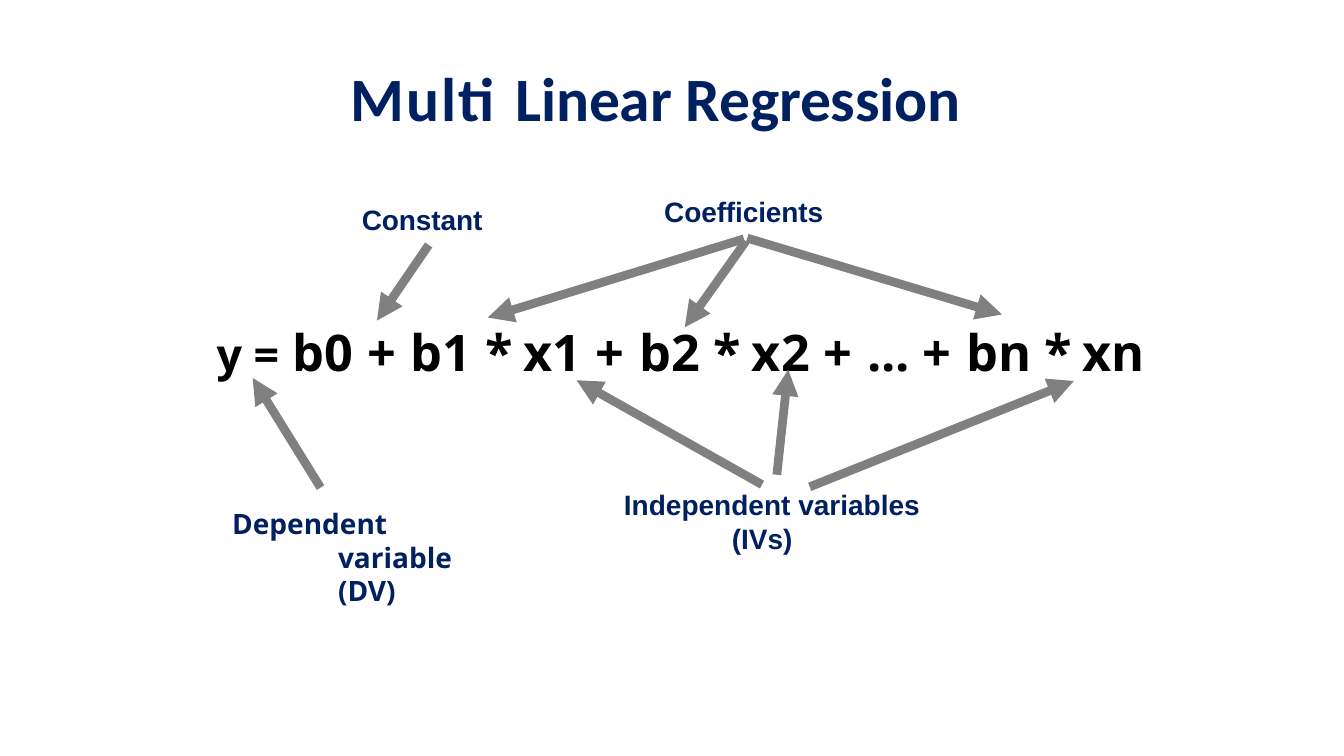
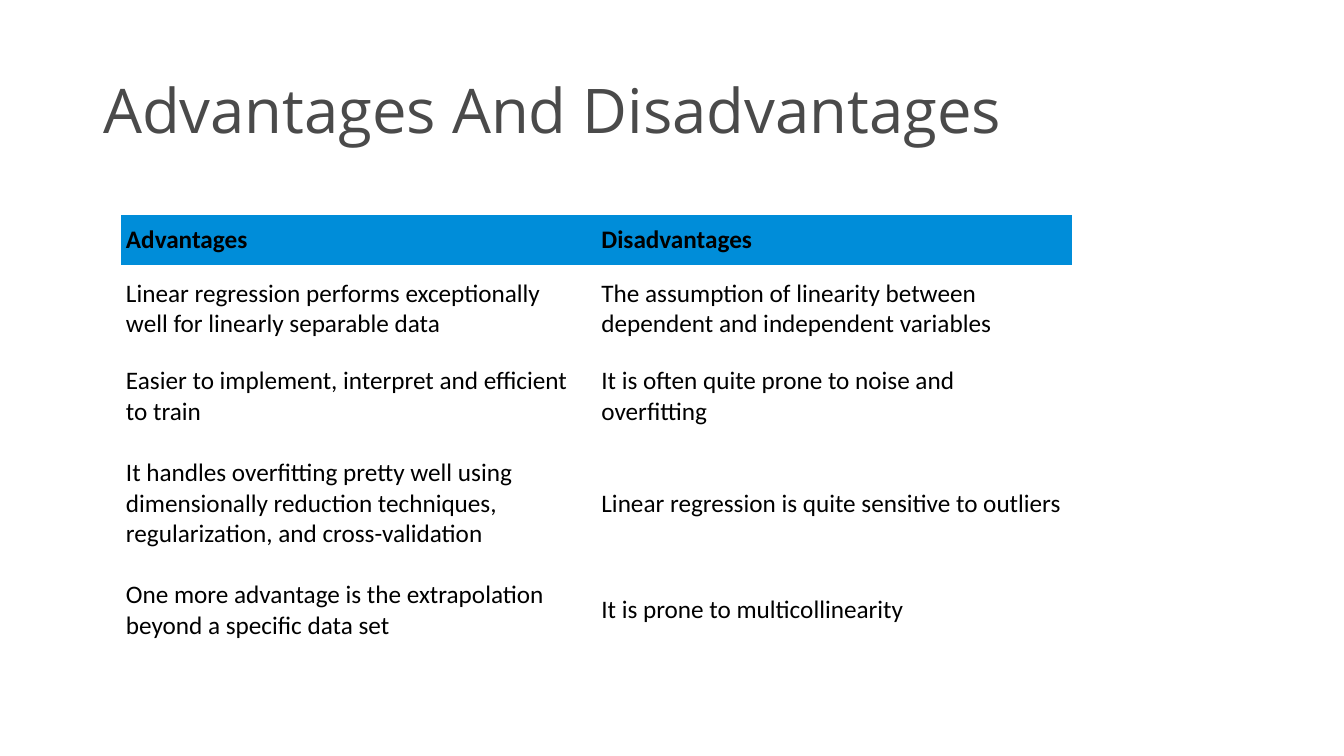
from dataclasses import dataclass

from lxml.etree import SubElement
from pptx import Presentation
from pptx.dml.color import RGBColor
from pptx.enum.shapes import MSO_CONNECTOR as CONN
from pptx.enum.text import MSO_ANCHOR as ANCHOR, PP_ALIGN as ALIGN
from pptx.oxml.ns import qn
from pptx.util import Inches, Pt


@dataclass(frozen=True)
class Theme:
    navy: str = "002060"
    gray: str = "808080"
    dark: str = "4A4A4A"
    black: str = "000000"
    blue: str = "008DD9"
    title: int = 44
    term: int = 36
    lead: int = 32
    label: int = 20
    cell: int = 18
    arrow: float = 6.25


T = Theme()
prs = Presentation()
prs.slide_width, prs.slide_height = Inches(13.33), Inches(7.5)
COL, ROW = prs.slide_width / 100, prs.slide_height / 100  # 1 % of the slide


def add_run(p, text, size, font, color, bold=False, spacing=0):
    r = p.add_run()
    r.text = text
    r.font.size, r.font.name, r.font.bold = Pt(size), font, bold
    r.font.color.rgb = RGBColor.from_string(color)
    if spacing:
        r.font._element.set("spc", str(round(spacing * 100)))


def add_box(s, x, y, w, h, hang=0, anchor=ANCHOR.TOP):
    sp = s.shapes.add_textbox(int(x * COL), int(y * ROW), int(w * COL), int(h * ROW))
    tf = sp.text_frame
    tf.word_wrap, tf.vertical_anchor = True, anchor
    tf.margin_left = tf.margin_right = tf.margin_bottom = 0
    tf.margin_top = Inches(0.01)
    p = tf.paragraphs[0]
    p.space_before = Pt(0.9)
    pPr = p._p.get_or_add_pPr()
    pPr.set("marL", str(Inches(hang + 0.01)))
    pPr.set("indent", str(-Inches(hang)))
    return p


# Slide 1: title
blank = prs.slide_layouts[6]
s = prs.slides.add_slide(blank)
p = add_box(s, 24.4, 7.7, 48.7, 10.1, anchor=ANCHOR.MIDDLE)
p.alignment = ALIGN.CENTER
for text, spacing in (("Multi ", 1.4), ("Linear ", -0.1), ("Regression", -0.2)):
    add_run(p, text, T.title, "Calibri", T.navy, True, spacing)

# Equation: operators have their own letter spacing
p = add_box(s, 16.05, 42.3, 74.6, 8.3)
tracking = {"y": -0.2, "=": 0.6, "+": 0.6, "*": -1.9, "...": -0.1, "bn": -0.1, "xn": -0.2}
tokens = "y = b0 + b1 * x1 + b2 * x2 + ... + bn * xn".split()
for i, token in enumerate(tokens):
    text = token if i == len(tokens) - 1 else token + " "
    size = T.lead if token in ("y", "=") else T.term
    add_run(p, text, size, "Noto Sans", T.black, True, tracking.get(token, 0.2))

# Labels: text, font, position and size, hanging indent, letter spacing
labels = (
    ("Constant", "Arial", (26.85, 26.7, 10.9, 4.7), 0, -0.1),
    ("Coefficients", "Arial", (49.35, 25.6, 15.5, 4.7), 0, -0.1),
    ("Dependent variable (DV)", "Noto Sans", (17.2, 66.9, 19.35, 13.6), 1.05, 0),
    ("Independent variables (IVs)", "Arial", (46.35, 64.4, 23.6, 9.2), 1.07, 0),
)
for text, font, area, hang, spacing in labels:
    p = add_box(s, *area, hang=hang)
    add_run(p, text, T.label, font, T.navy, True, spacing)

# Arrows from the labels to the terms
arrows = (
    (31.9, 32.4, 28.05, 42.4),   # constant to b0
    (55.35, 31.6, 36.3, 42),     # coefficients to b1, b2, bn
    (55.5, 31.9, 50.95, 43.3),
    (55.6, 31.5, 74.55, 41.6),
    (23.85, 64.5, 18.8, 50),     # dependent variable to y
    (56.7, 64.1, 42.9, 50.3),    # independent variables to x1, x2, xn
    (57.8, 62.8, 58.65, 48.9),
    (60.25, 64.4, 79.9, 50.4),
)
for x1, y1, x2, y2 in arrows:
    c = s.shapes.add_connector(CONN.STRAIGHT, int(x1 * COL), int(y1 * ROW),
                               int(x2 * COL), int(y2 * ROW))
    c.line.width = Pt(T.arrow)
    c.line.color.rgb = RGBColor.from_string(T.gray)
    SubElement(c.line._get_or_add_ln(), qn("a:tailEnd"), type="triangle")
    SubElement(c._element.spPr, qn("a:effectLst"))

# Slide 2: title
s = prs.slides.add_slide(blank)
p = add_box(s, 7.6, 5.33, 84.8, 19.33, anchor=ANCHOR.MIDDLE)
p.line_spacing = 0.9
add_run(p, "Advantages And Disadvantages", T.title, "Open Sans", T.dark)

# Table
rows = (
    (6.67, "Advantages", "Disadvantages"),
    (11.6, "Linear regression performs exceptionally well for linearly separable data",
     "The assumption of linearity between dependent and independent variables"),
    (11.6, "Easier to implement, interpret and efficient to train",
     "It is often quite prone to noise and overfitting"),
    (16.67, "It handles overfitting pretty well using dimensionally reduction techniques, "
     "regularization, and cross-validation",
     "Linear regression is quite sensitive to outliers"),
    (11.6, "One more advantage is the extrapolation beyond a specific data set",
     "It is prone to multicollinearity"),
)
height = sum(row[0] for row in rows)
tbl = s.shapes.add_table(len(rows), 2, int(9 * COL), int(28.4 * ROW),
                         int(70.75 * COL), int(height * ROW)).table
tbl.horz_banding = False
# Plain style without grid
tbl._tbl.tblPr.find(qn("a:tableStyleId")).text = "{2D5ABB26-0587-4C30-8999-92F81FD0307C}"
for i, (share, *texts) in enumerate(rows):
    tbl.rows[i].height = int(share * ROW)
    for j, text in enumerate(texts):
        cell = tbl.cell(i, j)
        cell.vertical_anchor = ANCHOR.MIDDLE
        cell.margin_left = cell.margin_top = cell.margin_bottom = Inches(0.05)
        cell.margin_right = Inches(0.1)
        if i == 0:
            cell.fill.solid()
            cell.fill.fore_color.rgb = RGBColor.from_string(T.blue)
        else:
            cell.fill.background()
        add_run(cell.text_frame.paragraphs[0], text, T.cell, "Calibri", T.black, i == 0)

prs.save("out.pptx")
